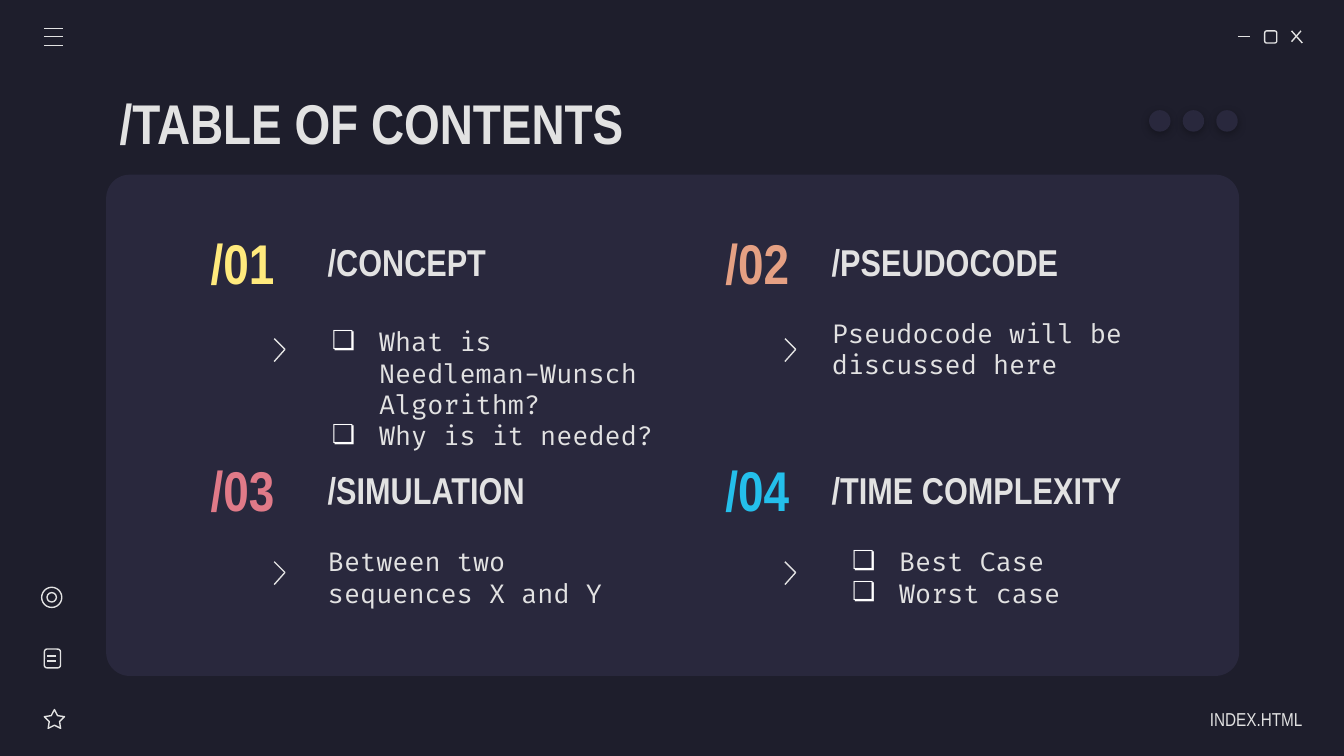
import pptx
import pptx.dml.color
import pptx.enum.shapes
import pptx.enum.text
import pptx.oxml.ns
import pptx.util
from lxml import etree

Inches = pptx.util.Inches
Shapes = pptx.enum.shapes.MSO_SHAPE
Align = pptx.enum.text.PP_ALIGN
qn = pptx.oxml.ns.qn

BACKGROUND, PANEL, LIGHT, WHITE = "1E1E2C", "29283D", "E2E2E2", "FFFFFF"
HEADING_FONT, BODY_FONT = "Arial Narrow", "Fira Code"


def color(hex_text):
    return pptx.dml.color.RGBColor.from_string(hex_text)


def add_xml(parent, tag, **attributes):
    element = etree.SubElement(parent, qn(tag))
    for name, value in attributes.items():
        element.set(name, str(value))
    return element


class SlideBuilder:
    """Holds the slide and draws its elements; all lengths are in inches."""

    def __init__(self, slide):
        self.slide = slide
        self.shapes = slide.shapes
        slide.background.fill.solid()
        slide.background.fill.fore_color.rgb = color(BACKGROUND)

    def outline(self, shape):
        shape.line.color.rgb = color(LIGHT)
        shape.line.width = pptx.util.Pt(0.75)

    def shape(self, kind, left, top, width, height, fill=None):
        """Add a filled shape without a line, or an outlined one without a fill."""
        shape = self.shapes.add_shape(
            kind, Inches(left), Inches(top), Inches(width), Inches(height))
        shape.shadow.inherit = False
        if fill:
            shape.fill.solid()
            shape.fill.fore_color.rgb = color(fill)
            shape.line.fill.background()
        else:
            shape.fill.background()
            self.outline(shape)
        return shape

    def panel(self, left, top, width, height):
        panel = self.shape(Shapes.ROUNDED_RECTANGLE, left, top, width, height, PANEL)
        panel.adjustments[0] = 0.047
        self.shapes._spTree.insert(2, panel._element)  # behind the placeholders

    def shadowed_dot(self, left, top, size):
        dot = self.shape(Shapes.OVAL, left, top, size, size, PANEL)
        effects = dot._element.spPr.find(qn("a:effectLst"))
        shadow = add_xml(effects, "a:outerShdw", blurRad=57150, dist=19050,
                         dir=5400000, algn="bl", rotWithShape=0)
        black = add_xml(shadow, "a:srgbClr", val="000000")
        add_xml(black, "a:alpha", val=30000)

    def line(self, x1, y1, x2, y2):
        line = self.shapes.add_connector(
            pptx.enum.shapes.MSO_CONNECTOR.STRAIGHT,
            Inches(x1), Inches(y1), Inches(x2), Inches(y2))
        self.outline(line)
        add_xml(line._element.spPr, "a:effectLst")

    def chevron(self, left, top):
        points = [(Inches(left + x), Inches(top + y))
                  for x, y in ((0, 0), (0.08, 0.08), (0, 0.17))]
        builder = self.shapes.build_freeform(*points[0])
        builder.add_line_segments(points[1:], close=False)
        chevron = builder.convert_to_shape()
        chevron.shadow.inherit = False
        chevron.fill.background()
        self.outline(chevron)

    def text_box(self, text, left, top, width, height, **style):
        box = self.shapes.add_textbox(0, 0, 0, 0)
        self.text(box, text, left, top, width, height, **style)

    def text(self, shape, text, left, top, width, height, size=14, font=BODY_FONT,
             text_color=LIGHT, bold=False, align=Align.LEFT, right_inset=0.1,
             bullets=False):
        """Place a text box or placeholder, fill it and format its text."""
        shape.left, shape.top = Inches(left), Inches(top)
        shape.width, shape.height = Inches(width), Inches(height)
        frame = shape.text_frame
        frame.text = text
        frame.word_wrap = True
        frame.auto_size = pptx.enum.text.MSO_AUTO_SIZE.NONE
        frame.vertical_anchor = pptx.enum.text.MSO_ANCHOR.MIDDLE
        frame.margin_left = frame.margin_top = frame.margin_bottom = Inches(0.1)
        frame.margin_right = Inches(right_inset)
        for paragraph in frame.paragraphs:
            paragraph.alignment = align
            paragraph.line_spacing = 1.0
            paragraph.space_before = paragraph.space_after = pptx.util.Pt(0)
            self.bullet(paragraph, bullets)
            for run in paragraph.runs:
                run.font.name = font
                run.font.size = pptx.util.Pt(size)
                run.font.bold = bold
                run.font.color.rgb = color(text_color)

    def bullet(self, paragraph, visible):
        properties = paragraph._p.get_or_add_pPr()
        properties.set("marL", str(Inches(0.5) if visible else 0))
        properties.set("indent", str(Inches(-0.35) if visible else 0))
        if visible:
            bullet_color = add_xml(properties, "a:buClr")
            add_xml(bullet_color, "a:srgbClr", val=WHITE)
            add_xml(properties, "a:buFont", typeface=BODY_FONT)
            add_xml(properties, "a:buChar", char="❏")
        else:
            add_xml(properties, "a:buNone")


def draw_window_controls(builder):
    builder.line(9.21, 0.27, 9.3, 0.27)
    builder.shape(Shapes.ROUNDED_RECTANGLE, 9.41, 0.23, 0.09, 0.09)
    builder.line(9.61, 0.23, 9.69, 0.32)
    builder.line(9.68, 0.23, 9.61, 0.31)
    for left in (8.55, 8.8, 9.05):
        builder.shadowed_dot(left, 0.82, 0.16)


def draw_side_icons(builder):
    for y in (0.21, 0.27, 0.34):
        builder.line(0.33, y, 0.47, y)
    builder.shape(Shapes.OVAL, 0.31, 4.37, 0.15, 0.15)
    builder.shape(Shapes.OVAL, 0.35, 4.41, 0.07, 0.07)
    builder.shape(Shapes.ROUNDED_RECTANGLE, 0.33, 4.83, 0.12, 0.14)
    for y in (4.88, 4.92):
        builder.line(0.35, y, 0.42, y)
    star = builder.shape(Shapes.STAR_5_POINT, 0.33, 5.28, 0.15, 0.14)
    star.adjustments[0] = 0.254


def draw_contents(builder):
    column_lefts = [(1.35, 2.34, 2.04), (5.18, 6.09, 5.84)]
    row_tops = [(1.67, 2.52), (3.36, 4.18)]
    # heading, number colour, description, description box, bulleted
    topics = [
        ("/CONCEPT", "FFEA7D",
         "What is Needleman-Wunsch Algorithm?\nWhy is it needed?",
         (2.22, 2.33, 2.83, 1.12), True),
        ("/PSEUDOCODE", "E5A083", "Pseudocode will be discussed here",
         (6.09, 2.22, 2.56, 0.75), False),
        ("/SIMULATION", "E07A88", "Between two sequences X and Y",
         (2.34, 3.92, 2.56, 0.75), False),
        ("/TIME COMPLEXITY", "24BFEB", "Best Case\nWorst case",
         (6.09, 3.92, 2.56, 0.75), True),
    ]
    for index, (heading, accent, description, box, bulleted) in enumerate(topics):
        row, column = divmod(index, 2)
        number_left, heading_left, chevron_left = column_lefts[column]
        top, chevron_top = row_tops[row]
        builder.text_box(f"/{index + 1:02}", number_left, top, 0.91, 0.56, size=30,
                         font=HEADING_FONT, text_color=accent, bold=True,
                         align=Align.CENTER)
        builder.text_box(heading, heading_left, top, 2.56, 0.56, size=20,
                         font=HEADING_FONT, bold=True)
        body = builder.slide.placeholders[index + 1]
        builder.text(body, description, *box, bullets=bulleted)
        builder.chevron(chevron_left, chevron_top)


def main():
    presentation = pptx.Presentation()
    presentation.slide_width = Inches(10)
    presentation.slide_height = presentation.slide_width * 9 // 16
    comparison_layout = presentation.slide_layouts[4]  # a title and four bodies
    builder = SlideBuilder(presentation.slides.add_slide(comparison_layout))
    builder.panel(0.79, 1.3, 8.43, 3.73)
    builder.text(builder.shapes.title, "/TABLE OF CONTENTS", 0.79, 0.59, 8.43, 0.63,
                 size=30, font=HEADING_FONT, bold=True)
    draw_window_controls(builder)
    draw_side_icons(builder)
    draw_contents(builder)
    builder.text_box("INDEX.HTML", 8.52, 5.2, 1.17, 0.3, size=10, font=HEADING_FONT,
                     align=Align.RIGHT, right_inset=0)
    presentation.save("out.pptx")


if __name__ == "__main__":
    main()
